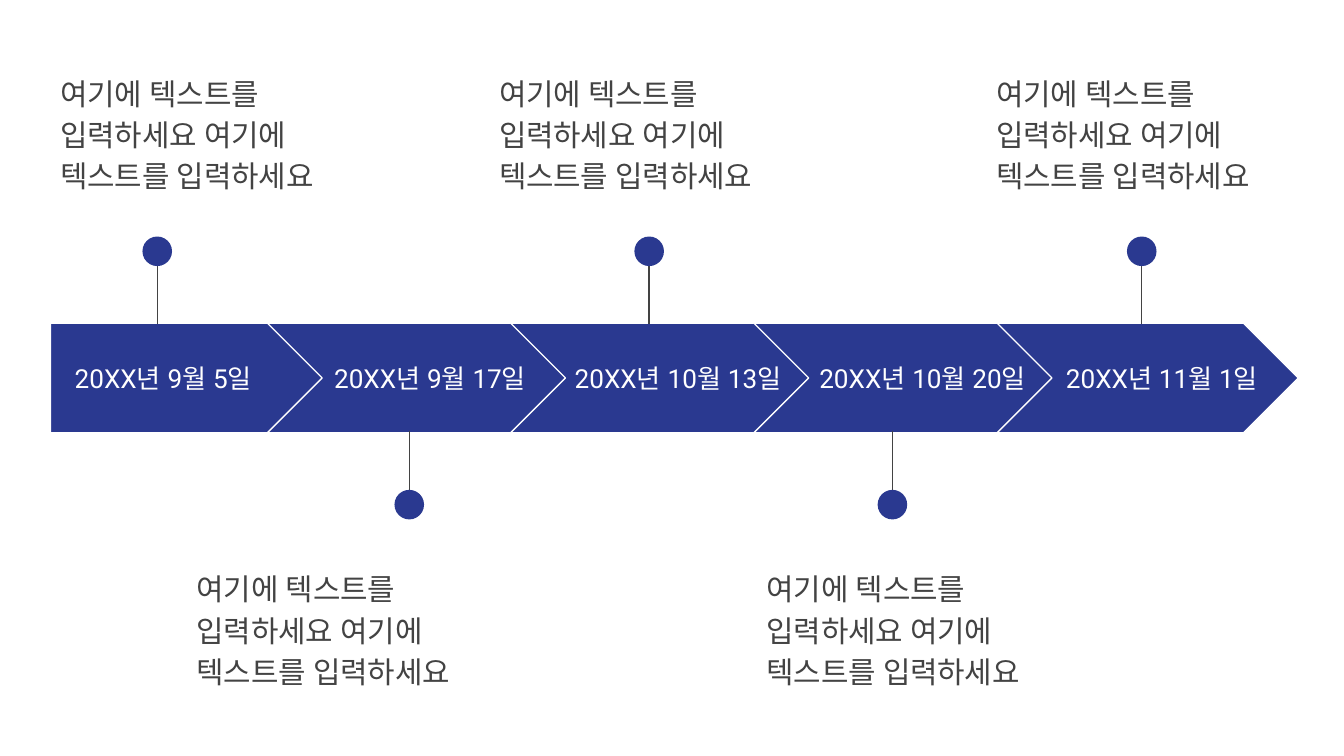
from dataclasses import dataclass

from lxml import etree
from pptx import Presentation
from pptx import util as u
from pptx.dml.color import RGBColor
from pptx.enum import shapes, text
from pptx.oxml import ns

NOTE = "여기에 텍스트를 입력하세요 여기에 텍스트를 입력하세요"

# date, date box left, date box width, pin centre, note left (px)
STEPS = [
    ("20XX년 9월 5일", 74, 338, 234, 70),
    ("20XX년 9월 17일", 465, 350, 609, 273),
    ("20XX년 10월 13일", 814, 390, 966, 723),
    ("20XX년 10월 20일", 1178, 390, 1328, 1121),
    ("20XX년 11월 1일", 1544, 370, 1699, 1463),
]

# Steps alternate between pins above and pins below the band
SIDES = [
    {"line_start": 360, "line_end": 482, "dot_top": 352, "note_top": 84},
    {"line_start": 764, "line_end": 642, "dot_top": 729, "note_top": 822},
]


@dataclass(frozen=True)
class Theme:
    font: str = "Roboto"
    band: RGBColor = RGBColor(0x2A, 0x39, 0x90)
    ink: RGBColor = RGBColor(0x43, 0x43, 0x43)
    light: RGBColor = RGBColor(0xFF, 0xFF, 0xFF)
    date_size: int = 14
    note_size: int = 16
    line_width: float = 0.75


THEME = Theme()
PX = 4572  # 200 px to the inch
SLIDE_WIDTH, SLIDE_HEIGHT = 2000, 1125
BAND_TOP, BAND_HEIGHT = 481, 163
FIRST_LEFT, FIRST_WIDTH = 75, 409
CHEVRON_LEFT, CHEVRON_WIDTH, CHEVRON_PITCH = 398, 448, 362
DATE_TOP, DATE_HEIGHT = 512, 102
NOTE_WIDTH, NOTE_HEIGHT = 490, 198
DOT = 44
INSET = 20


def px(*lengths):
    return [u.Emu(length * PX) for length in lengths]


def set_all(target, values):
    for name, value in values.items():
        setattr(target, name, value)


def add_shape(page, kind, bounds, outline=None):
    shape = page.shapes.add_shape(kind, *px(*bounds))
    shape.shadow.inherit = False
    shape.fill.solid()
    shape.fill.fore_color.rgb = THEME.band
    if outline is None:
        shape.line.fill.background()
    else:
        shape.line.color.rgb = outline
        shape.line.width = u.Pt(THEME.line_width)
    return shape


def add_text(page, words, bounds, size, color, frame_format, para_format):
    frame = page.shapes.add_textbox(*px(*bounds)).text_frame
    margins = ("margin_left", "margin_right", "margin_top", "margin_bottom")
    set_all(frame, {"word_wrap": True, **dict.fromkeys(margins, px(INSET)[0])})
    set_all(frame, frame_format)
    para = frame.paragraphs[0]
    set_all(para, para_format)
    span = para.add_run()
    span.text = words
    set_all(span.font, {"name": THEME.font, "size": u.Pt(size)})
    span.font.color.rgb = color
    # Hangul takes its font from the East Asian slot
    etree.SubElement(span.font._element, ns.qn("a:ea"), typeface=THEME.font)


def add_pin(page, center, side):
    line = page.shapes.add_connector(
        shapes.MSO_CONNECTOR.STRAIGHT,
        *px(center, side["line_start"], center, side["line_end"]))
    line.line.color.rgb = THEME.ink
    line.line.width = u.Pt(THEME.line_width)
    etree.SubElement(line._element.spPr, ns.qn("a:effectLst"))
    add_shape(page, shapes.MSO_SHAPE.OVAL,
              (center - DOT // 2, side["dot_top"], DOT, DOT))


def add_band(page, index):
    """Draw one arrow of the band; the first has a flat left end."""
    if index == 0:
        kind, left, width = shapes.MSO_SHAPE.PENTAGON, FIRST_LEFT, FIRST_WIDTH
    else:
        kind, width = shapes.MSO_SHAPE.CHEVRON, CHEVRON_WIDTH
        left = CHEVRON_LEFT + (index - 1) * CHEVRON_PITCH
    arrow = add_shape(page, kind, (left, BAND_TOP, width, BAND_HEIGHT), THEME.light)
    arrow.adjustments[0] = 0.5


def main():
    deck = Presentation()
    deck.slide_width, deck.slide_height = px(SLIDE_WIDTH, SLIDE_HEIGHT)
    page = deck.slides.add_slide(deck.slide_layouts[6])
    for index, (date, date_left, date_width, center, note_left) in enumerate(STEPS):
        side = SIDES[index % 2]
        add_band(page, index)
        add_text(page, date, (date_left, DATE_TOP, date_width, DATE_HEIGHT),
                 THEME.date_size, THEME.light,
                 {"vertical_anchor": text.MSO_ANCHOR.MIDDLE},
                 {"alignment": text.PP_ALIGN.CENTER})
        add_pin(page, center, side)
        add_text(page, NOTE, (note_left, side["note_top"], NOTE_WIDTH, NOTE_HEIGHT),
                 THEME.note_size, THEME.ink,
                 {"vertical_anchor": text.MSO_ANCHOR.TOP},
                 {"alignment": text.PP_ALIGN.LEFT, "line_spacing": 1.15})
    deck.save("out.pptx")


if __name__ == "__main__":
    main()
